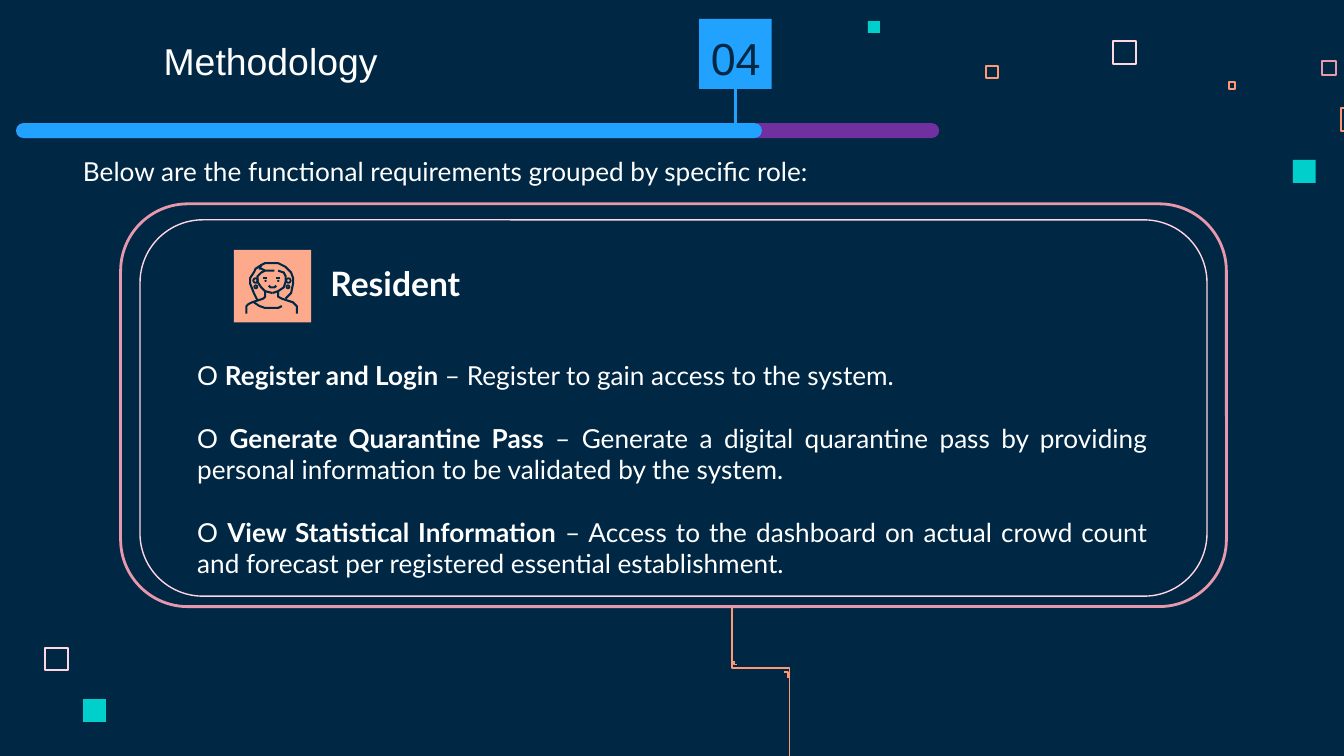
import pptx
import pptx.util
import pptx.dml.color
import pptx.enum.shapes
import pptx.enum.text
import lxml.etree

Pt = pptx.util.Pt
RGBColor = pptx.dml.color.RGBColor
SHAPE = pptx.enum.shapes.MSO_SHAPE
ALIGN = pptx.enum.text.PP_ALIGN
ANCHOR = pptx.enum.text.MSO_ANCHOR

NAVY = RGBColor(0x00, 0x28, 0x45)
BLUE = RGBColor(0x22, 0xA2, 0xFF)
PURPLE = RGBColor(0x70, 0x30, 0xA0)
PINK = RGBColor(0xE8, 0x98, 0xAC)
PALE_PINK = RGBColor(0xFF, 0xD6, 0xE1)
ORANGE = RGBColor(0xFF, 0x99, 0x73)
PEACH = RGBColor(0xFD, 0xAA, 0x8C)
TEAL = RGBColor(0x00, 0xCF, 0xCC)
WHITE = RGBColor(0xFF, 0xFF, 0xFF)

presentation = pptx.Presentation()
presentation.slide_width, presentation.slide_height = Pt(720), Pt(405)
slide = presentation.slides.add_slide(presentation.slide_layouts[5])
slide.background.fill.solid()
slide.background.fill.fore_color.rgb = NAVY


def paint(shape, fill=None, line=None, width=1):
    shape.shadow.inherit = False
    if fill is None:
        shape.fill.background()
    else:
        shape.fill.solid()
        shape.fill.fore_color.rgb = fill
    if line is None:
        shape.line.fill.background()
    else:
        shape.line.color.rgb = line
        shape.line.width = Pt(width)
    return shape


def write(shape, box, paragraphs, align, anchor, **font):
    """Place a text shape and fill it; a paragraph is a list of (text, bold) runs."""
    for name, value in zip(("left", "top", "width", "height"), box):
        setattr(shape, name, Pt(value))
    frame = shape.text_frame
    frame_format = {"word_wrap": True, "vertical_anchor": anchor,
                    "auto_size": pptx.enum.text.MSO_AUTO_SIZE.NONE}
    frame_format.update({"margin_" + side: Pt(7.2) for side in ("left", "right", "top", "bottom")})
    for name, value in frame_format.items():
        setattr(frame, name, value)
    for index, runs in enumerate(paragraphs):
        paragraph = frame.add_paragraph() if index else frame.paragraphs[0]
        paragraph.alignment = align
        paragraph.space_before = Pt(16.8 if index else 0)
        for text, bold in runs:
            run = paragraph.add_run()
            run.text = text
            color = font.get("color", WHITE)
            for name, value in {"name": font["name"], "size": Pt(font["size"]), "bold": bold}.items():
                setattr(run.font, name, value)
            run.font.color.rgb = color


# Scattered squares: left, top, side, colour
outlined_squares = [(596.5, 22, 12.2, PALE_PINK), (708, 32.6, 7.8, PINK), (658.4, 44.1, 3.4, ORANGE),
                    (718.6, 58, 12.2, ORANGE), (528.3, 35.6, 6.4, ORANGE), (24.3, 347, 12.2, PALE_PINK)]
filled_squares = [(692.6, 85.7, 12.3, TEAL), (465, 11.3, 6.4, TEAL), (44.5, 374.5, 12.3, TEAL)]
for left, top, side, color in outlined_squares:
    paint(slide.shapes.add_shape(SHAPE.RECTANGLE, Pt(left), Pt(top), Pt(side), Pt(side)), line=color)
for left, top, side, color in filled_squares:
    paint(slide.shapes.add_shape(SHAPE.RECTANGLE, Pt(left), Pt(top), Pt(side), Pt(side)), fill=color)

# Double frame of the card
for left, top, width, height, color, weight in [(64.6, 109.2, 592.4, 215.8, PINK, 1.5),
                                               (75, 117.8, 571.6, 201.6, PALE_PINK, 0.75)]:
    frame_shape = slide.shapes.add_shape(SHAPE.ROUNDED_RECTANGLE, Pt(left), Pt(top), Pt(width), Pt(height))
    frame_shape.adjustments[0] = 0.167
    paint(frame_shape, line=color, width=weight)

# Circuit line under the card, with its corner marks
circuit = [([(391.8, 325), (391.8, 357.9), (423.4, 357.9), (423.4, 405)], ORANGE, 1),
           ([(419.8, 360.4), (422, 360.4), (422, 363)], ORANGE, 1),
           ([(393.3, 353.5), (393.3, 356.1), (395.3, 356.1)], ORANGE, 1)]

# Title, progress bars and number badge
write(slide.shapes.title, (8.6, 15.8, 272.9, 36), [[("Methodology", False)]],
      ALIGN.CENTER, ANCHOR.BOTTOM, name="Arial", size=20)
badge = paint(slide.shapes.add_shape(SHAPE.RECTANGLE, Pt(374.6), Pt(10.1), Pt(38.8), Pt(37.6)), fill=BLUE)
for width, color in [(494.6, PURPLE), (399.6, BLUE)]:
    bar = slide.shapes.add_shape(SHAPE.ROUNDED_RECTANGLE, Pt(8.6), Pt(66), Pt(width), Pt(8))
    bar.adjustments[0] = 0.5
    paint(bar, fill=color)
stem = slide.shapes.add_connector(pptx.enum.shapes.MSO_CONNECTOR.STRAIGHT, Pt(394), Pt(47.7), Pt(394), Pt(69.8))
stem.begin_connect(badge, 2)
stem.line.color.rgb = BLUE
stem.line.width = Pt(1.5)
lxml.etree.SubElement(stem.element.spPr, pptx.oxml.ns.qn("a:effectLst"))

# Texts
requirements = [
    ("Register and Login ", "– Register to gain access to the system."),
    ("Generate Quarantine Pass ", "– Generate a digital quarantine pass by providing personal "
                                  "information to be validated by the system."),
    ("View Statistical Information ", "– Access to the dashboard on actual crowd count and forecast "
                                      "per registered essential establishment."),
]
requirement_runs = [[("O ", False), (name, True), (detail, False)] for name, detail in requirements]
intro = "Below are the functional requirements grouped by specific role:"
for box, paragraphs, align, anchor, font in [
    ((355.7, 13, 77, 36), [[("04", False)]], ALIGN.CENTER, ANCHOR.MIDDLE,
     {"name": "Arial", "size": 24, "color": NAVY}),
    ((37.4, 76.3, 571.7, 33.1), [[(intro, False)]], ALIGN.JUSTIFY, ANCHOR.TOP, {"name": "Lato", "size": 14}),
    ((98.6, 185.3, 523.4, 99.1), requirement_runs, ALIGN.JUSTIFY, ANCHOR.TOP, {"name": "Lato", "size": 14}),
    ((169.9, 133.9, 139, 33.1), [[("Resident", True)]], ALIGN.JUSTIFY, ANCHOR.TOP, {"name": "Lato", "size": 18}),
]:
    write(slide.shapes.add_textbox(0, 0, 0, 0), box, paragraphs, align, anchor, **font)

# Resident icon: the left half of each symmetric stroke is mirrored
paint(slide.shapes.add_shape(SHAPE.RECTANGLE, Pt(125.3), Pt(133.9), Pt(41.4), Pt(38.9)), fill=PEACH)
icon_axis = 145.7
half_strokes = [
    [(132.5, 167.5), (132.5, 164.2), (133.2, 162.6), (134.6, 161.7), (140.6, 160), (142, 158.6), (142, 156.2)],
    [(142, 145.1), (139.8, 145.8), (138.4, 147.6), (138.3, 151), (139.5, 154), (142.3, 156.2), (145.7, 156.8)],
    [(141.4, 149.1), (142.2, 148.6), (143, 148.7)],
]
strokes = half_strokes + [[(2 * icon_axis - x, y) for x, y in points] for points in half_strokes]
strokes += [
    [(137.7, 160.6), (135.6, 156.6), (134.3, 152), (134.3, 149), (135.5, 145.8), (137.3, 143.8), (139.6, 142.5),
     (142.3, 141.2), (145.5, 140.8), (149.3, 141.3), (152.8, 142.8), (155.8, 145.6), (157.4, 149), (157.4, 152),
     (156, 156.6), (153.4, 160.5)],
    [(139.5, 142.5), (139.4, 143.5), (140.2, 144.5), (142, 145.1), (147.2, 145.1)],
    [(136.5, 161.9), (139, 163.8), (142, 164.9), (145.7, 165.2), (148.6, 164.8), (151, 164)],
    [(143.7, 153.4), (144.6, 153.8), (145.7, 153.9), (146.8, 153.8), (147.7, 153.4)],
]
for points, color, width in circuit + [(points, NAVY, 1.1) for points in strokes]:
    builder = slide.shapes.build_freeform(points[0][0], points[0][1], scale=Pt(1))
    builder.add_line_segments(points[1:], close=False)
    paint(builder.convert_to_shape(), line=color, width=width)

# Ears, earrings and eyes: distance from the axis, centre height, radius
for offset, middle, radius, fill in [(8.8, 150.3, 1.2, None), (8.6, 153.7, 0.8, None), (3.4, 150.5, 0.6, NAVY)]:
    for side in (-1, 1):
        oval = slide.shapes.add_shape(SHAPE.OVAL, Pt(icon_axis + side * offset - radius), Pt(middle - radius),
                                      Pt(2 * radius), Pt(2 * radius))
        paint(oval, fill=fill, line=None if fill else NAVY)

presentation.save("out.pptx")
